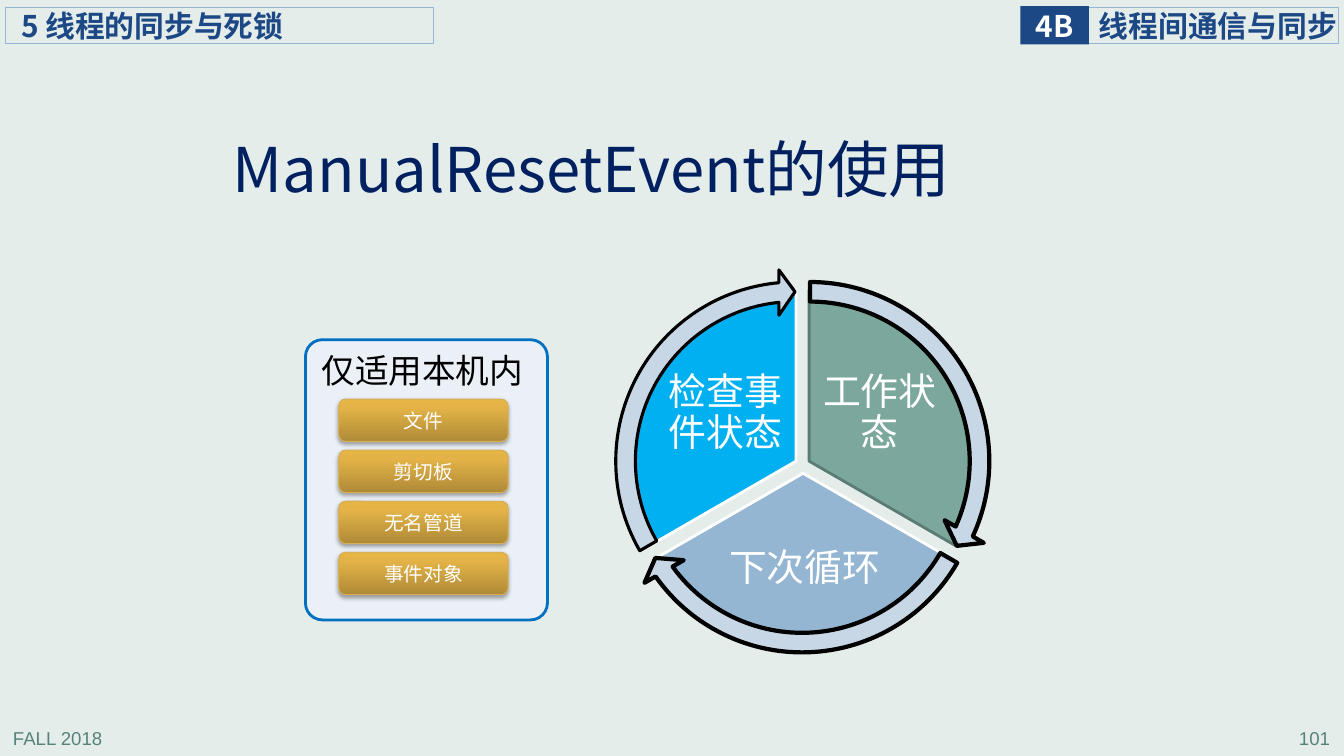
from lxml.etree import SubElement
from pptx import Presentation
from pptx.dml.color import RGBColor
from pptx.enum.shapes import MSO_SHAPE
from pptx.enum.text import MSO_ANCHOR, PP_ALIGN
from pptx.oxml import parse_xml
from pptx.oxml.ns import nsdecls, qn
from pptx.util import Inches, Pt

COLORS = {
    "background": "E5EDEB", "footer": "578279", "navy": "1C4885", "title": "002060",
    "blue": "94B6D2", "green": "7BA79D", "dark_green": "5B7C74", "sky": "00B0F0",
    "arrow": "C8D7E5", "card": "EAF0F6", "card_line": "0070C0", "gold_line": "D6AF57",
    "gold_dark": "AF8A37", "gold": "E3B347", "gold_light": "E7B544",
    "white": "FFFFFF", "black": "000000",
}
CJK_FONT = "Noto Sans CJK SC"
DEFAULT_INSETS = (0.1, 0.05, 0.1, 0.05)


def color(name):
    return RGBColor.from_string(COLORS[name])


class SlideBuilder:
    def __init__(self, slide):
        self.slide = slide
        fill = slide.background.fill
        fill.solid()
        fill.fore_color.rgb = color("background")

    def shape(self, kind, box, fill=None, line=None, width=0.75, adjustments=()):
        shape = self.slide.shapes.add_shape(kind, *map(Inches, box))
        shape.shadow.inherit = False
        for index, value in enumerate(adjustments):
            shape.adjustments[index] = value
        if fill:
            shape.fill.solid()
            shape.fill.fore_color.rgb = color(fill)
        else:
            shape.fill.background()
        if line:
            shape.line.color.rgb = color(line)
            shape.line.width = Pt(width)
        else:
            shape.line.fill.background()
        return shape

    def text_box(self, box, text, size, text_color, **style):
        shape = self.slide.shapes.add_textbox(*map(Inches, box))
        self.add_text(shape, text, size, text_color, **style)

    def add_text(self, shape, text, size, text_color, font=CJK_FONT, bold=False,
                 align=PP_ALIGN.LEFT, anchor=MSO_ANCHOR.MIDDLE, insets=DEFAULT_INSETS,
                 wrap=True, spacing=None):
        frame = shape.text_frame
        frame.word_wrap = wrap
        frame.vertical_anchor = anchor
        (frame.margin_left, frame.margin_top,
         frame.margin_right, frame.margin_bottom) = map(Inches, insets)
        paragraph = frame.paragraphs[0]
        paragraph.alignment = align
        if spacing:
            paragraph.line_spacing = spacing
        run = paragraph.add_run()
        run.text = text
        run.font.size = Pt(size)
        run.font.bold = bold
        run.font.color.rgb = color(text_color)
        run.font.name = font
        SubElement(run.font._element, qn("a:ea")).set("typeface", CJK_FONT)

    def header(self, box, text, left_inset):
        shape = self.shape(MSO_SHAPE.RECTANGLE, box, line="blue")
        self.add_text(shape, text, 21.3, "navy", bold=True, insets=(left_inset, 0, 0, 0))

    def sector(self, left, top, angles, fill, line, label, label_box):
        self.shape(MSO_SHAPE.PIE, (left, top, 3.39, 3.39), fill, line, 2, angles)
        self.text_box(label_box, label, 27, "white", font="Calibri",
                      align=PP_ALIGN.CENTER, insets=(0.04,) * 4, spacing=0.9)

    def cycle_arrow(self, left, top, start, end, width):
        self.shape(MSO_SHAPE.CIRCULAR_ARROW, (left, top, 3.81, 3.81), "arrow", "black",
                   width, (0.051, 3.275, end, start, 0.059))

    def gold_button(self, top, text):
        """Rounded button with a vertical gold gradient and a soft shadow."""
        shape = self.shape(MSO_SHAPE.ROUNDED_RECTANGLE, (3.36, top, 1.68, 0.42),
                           "gold", "gold_line")
        stops = "".join(
            f'<a:gs pos="{position * 1000}"><a:srgbClr val="{COLORS[name]}"/></a:gs>'
            for position, name in ((0, "gold_dark"), (80, "gold"), (100, "gold_light")))
        gradient = parse_xml(
            f'<a:gradFill {nsdecls("a")} rotWithShape="1"><a:gsLst>{stops}</a:gsLst>'
            '<a:lin ang="16200000" scaled="0"/></a:gradFill>')
        properties = shape._element.spPr
        properties.replace(properties.find(qn("a:solidFill")), gradient)
        shadow = parse_xml(
            f'<a:outerShdw {nsdecls("a")} blurRad="{Pt(3.1)}" dist="{Pt(1.8)}" '
            'dir="5400000" rotWithShape="0">'
            f'<a:srgbClr val="{COLORS["black"]}"><a:alpha val="35000"/></a:srgbClr>'
            '</a:outerShdw>')
        properties.find(qn("a:effectLst")).append(shadow)
        self.add_text(shape, text, 14, "white", align=PP_ALIGN.CENTER)


def main():
    presentation = Presentation()
    presentation.slide_width = Inches(13.33)
    presentation.slide_height = Inches(7.5)
    builder = SlideBuilder(presentation.slides.add_slide(presentation.slide_layouts[6]))

    for left, text, align in ((0.03, "FALL 2018", PP_ALIGN.LEFT),
                              (10.51, "101", PP_ALIGN.RIGHT)):
        builder.text_box((left, 7.16, 2.78, 0.31), text, 13.3, "footer", font="Arial",
                         align=align, anchor=MSO_ANCHOR.TOP)

    builder.header((10.78, 0.07, 2.5, 0.36), "线程间通信与同步", 0.12)
    badge = builder.shape(MSO_SHAPE.RECTANGLE, (10.12, 0.06, 0.68, 0.38), "navy")
    builder.add_text(badge, "4B", 21.3, "white", bold=True, align=PP_ALIGN.CENTER,
                     insets=(0, 0, 0, 0), wrap=False)
    builder.header((0.05, 0.07, 4.25, 0.36), "5 线程的同步与死锁", 0.16)
    builder.text_box((2.23, 1.3, 8.43, 0.83), "ManualResetEvent的使用", 44, "title",
                     insets=(0.08, 0.04, 0.08, 0.04), spacing=0.9)

    # Adjustment angles: 18 is 30°, 90 is 150°, 162 is 270°, clockwise from the right.
    builder.sector(6.33, 2.88, (162, 18), "green", "dark_green",
                   "工作状态", (8.12, 3.6, 1.21, 1.01))
    builder.sector(6.27, 3, (18, 90), "blue", "white",
                   "下次循环", (7.07, 5.2, 1.82, 0.89))
    builder.sector(6.2, 2.88, (90, 162), "sky", "white",
                   "检查事件状态", (6.59, 3.6, 1.21, 1.01))
    builder.cycle_arrow(6.13, 2.67, 161.99, 14.73, 3)
    builder.cycle_arrow(6.05, 2.79, 18, 86.72, 3)
    builder.cycle_arrow(5.98, 2.67, 90, 158.73, 2.25)

    builder.shape(MSO_SHAPE.ROUNDED_RECTANGLE, (3.03, 3.37, 2.4, 2.78), "card",
                  "card_line", 2, (0.07,))
    builder.text_box((3.09, 3.42, 2.22, 0.5), "仅适用本机内", 24, "black",
                     anchor=MSO_ANCHOR.TOP, wrap=False)
    first_top, last_top = 3.96, 5.48
    buttons = ("文件", "剪切板", "无名管道", "事件对象")
    pitch = (last_top - first_top) / (len(buttons) - 1)
    for index, text in enumerate(buttons):
        builder.gold_button(first_top + index * pitch, text)

    presentation.save("out.pptx")


if __name__ == "__main__":
    main()
